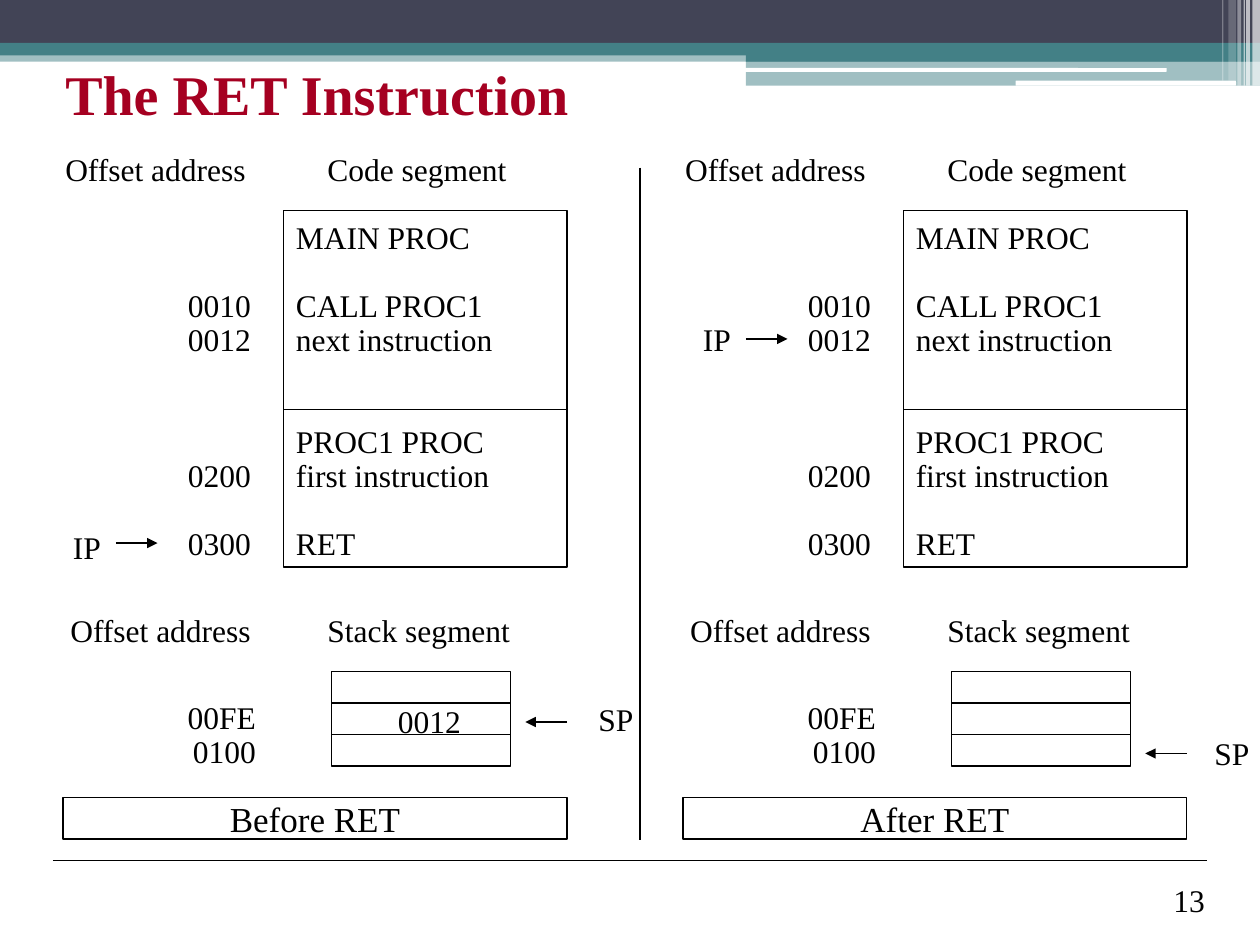
"""Build the RET instruction slide: code and stack segments before and after the return."""
from dataclasses import dataclass

from pptx import Presentation
from pptx.dml.color import RGBColor
from pptx.enum.shapes import MSO_CONNECTOR, MSO_SHAPE
from pptx.enum.text import MSO_ANCHOR, PP_ALIGN
from pptx.oxml.ns import qn
from pptx.oxml.xmlchemy import OxmlElement
from pptx.util import Inches, Pt

BLACK = RGBColor(0x00, 0x00, 0x00)
WHITE = RGBColor(0xFF, 0xFF, 0xFF)
CRIMSON = RGBColor(0xA5, 0x00, 0x21)
SLATE = RGBColor(0x42, 0x44, 0x56)
TEAL = RGBColor(0x43, 0x80, 0x86)
FONT = "Times New Roman"
LINE_WIDTH = Pt(0.75)
ROW_POINTS = 19.44
PANEL_STEP = 4.92


@dataclass
class Band:
    left: float
    top: float
    width: float
    height: float
    color: RGBColor = WHITE
    opacity: int = 100
    kind: MSO_SHAPE = MSO_SHAPE.RECTANGLE


@dataclass
class Row:
    text: str
    gap: float = 0
    right: bool = False
    indent: float = 0


@dataclass
class Panel:
    left: float
    caption: str
    ip_arrow: tuple[float, float]
    ip_label: tuple[float, float]
    sp_height: float
    sp_label: tuple[float, float]


BANDS = [
    Band(0, 0.4, 10, 0.09, TEAL, 50),
    Band(0, 0, 10, 0.34, SLATE),
    Band(0, 0.34, 10, 0.1, TEAL),
    Band(5.92, 0.39, 4.08, 0.1, TEAL),
    Band(5.92, 0.48, 4.08, 0.2, TEAL, 50),
    Band(5.91, 0.54, 3.35, 0.03, kind=MSO_SHAPE.ROUNDED_RECTANGLE),
    Band(8.06, 0.64, 1.75, 0.04, kind=MSO_SHAPE.ROUNDED_RECTANGLE),
    Band(9.94, 0, 0.06, 0.68, opacity=65),
    Band(9.89, 0, 0.03, 0.68, opacity=65),
    Band(9.87, 0, 0.01, 0.68, opacity=60),
    Band(9.82, 0, 0.03, 0.68, opacity=40),
    Band(9.75, 0, 0.06, 0.64, opacity=20),
    Band(9.7, 0, 0.01, 0.64, opacity=30),
]
CODE_ADDRESSES = [
    Row("Offset address"),
    Row("0010", 3 * ROW_POINTS, True),
    Row("0012", 0, True),
    Row("0200", 3 * ROW_POINTS, True),
    Row("0300", ROW_POINTS, True),
]
CODE_LINES = [
    Row("Code segment", indent=0.25),
    Row("MAIN PROC", ROW_POINTS),
    Row("CALL PROC1", ROW_POINTS),
    Row("next instruction"),
    Row("PROC1 PROC", 2 * ROW_POINTS),
    Row("first instruction"),
    Row("RET", ROW_POINTS),
]
STACK_ADDRESSES = [
    Row("Offset address"),
    Row("00FE", 30.24, True),
    Row("0100", 0, True),
]
PANELS = [
    Panel(0.42, "Before RET", (0.92, 4.31), (0.48, 4.17), 5.73, (4.65, 5.54)),
    Panel(0.42 + PANEL_STEP, "After RET", (5.92, 2.69), (5.48, 2.52), 5.98, (9.54, 5.81)),
]

presentation = Presentation()
presentation.slide_width = Inches(10)
presentation.slide_height = Inches(7.5)
slide = presentation.slides.add_slide(presentation.slide_layouts[6])


def apply(target: object, values: dict) -> None:
    for name, value in values.items():
        setattr(target, name, value)


def add_band(band: Band):
    shape = slide.shapes.add_shape(
        band.kind, Inches(band.left), Inches(band.top), Inches(band.width), Inches(band.height)
    )
    shape.shadow.inherit = False
    shape.fill.solid()
    shape.fill.fore_color.rgb = band.color
    shape.line.fill.background()
    if band.opacity < 100:
        alpha = OxmlElement("a:alpha")
        alpha.set("val", str(band.opacity * 1000))
        shape.fill._xPr.find(qn("a:solidFill"))[0].append(alpha)
    return shape


def add_box(left: float, top: float, width: float, height: float):
    shape = add_band(Band(left, top, width, height))
    shape.line.color.rgb = BLACK
    shape.line.width = LINE_WIDTH
    return shape


def add_line(x1: float, y1: float, x2: float, y2: float, arrow: bool = False) -> None:
    connector = slide.shapes.add_connector(
        MSO_CONNECTOR.STRAIGHT, Inches(x1), Inches(y1), Inches(x2), Inches(y2)
    )
    connector.line.color.rgb = BLACK
    connector.line.width = LINE_WIDTH
    if arrow:
        tail = OxmlElement("a:tailEnd")
        tail.set("type", "triangle")
        connector.line._get_or_add_ln().append(tail)
    connector._element.spPr.append(OxmlElement("a:effectLst"))


def write(paragraph, text: str, size: float = 18, color: RGBColor = BLACK, bold: bool = False,
          **layout) -> None:
    run = paragraph.add_run()
    run.text = text
    apply(run.font, {"name": FONT, "size": Pt(size), "bold": bold})
    run.font.color.rgb = color
    apply(paragraph, layout)


def add_frame(left: float, top: float, width: float, height: float, wrap: bool = True):
    frame = slide.shapes.add_textbox(
        Inches(left), Inches(top), Inches(width), Inches(height)
    ).text_frame
    frame.word_wrap = wrap
    return frame


def add_rows(left: float, top: float, width: float, height: float, rows: list[Row],
             wrap: bool = True) -> None:
    frame = add_frame(left, top, width, height, wrap)
    for index, row in enumerate(rows):
        paragraph = frame.add_paragraph() if index else frame.paragraphs[0]
        write(paragraph, row.text, line_spacing=Pt(ROW_POINTS), space_before=Pt(row.gap),
              alignment=PP_ALIGN.RIGHT if row.right else PP_ALIGN.LEFT)
        if row.indent:
            paragraph._p.get_or_add_pPr().set("marL", str(Inches(row.indent)))


def add_panel(panel: Panel) -> None:
    left = panel.left
    code_left, stack_left = left + 1.83, left + 2.21
    code_right, stack_right = code_left + 2.25, stack_left + 1.42
    add_box(code_left, 1.67, 2.25, 2.83)
    add_rows(left, 1.17, 1.67, 3.89, CODE_ADDRESSES)
    add_rows(code_left, 1.17, 2.5, 3.34, CODE_LINES)
    add_line(code_left, 3.25, code_right, 3.25)
    add_rows(left + 0.04, 4.83, 1.67, 1.33, STACK_ADDRESSES)
    add_rows(code_left, 4.83, 2.5, 0.64, [Row("Stack segment", indent=0.25)])
    add_box(stack_left, 5.33, 1.42, 0.75)
    for divider in (5.58, 5.83):
        add_line(stack_left, divider, stack_right, divider)
    arrow_left, arrow_top = panel.ip_arrow
    add_line(arrow_left, arrow_top, arrow_left + 0.33, arrow_top, True)
    add_rows(*panel.ip_label, 0.42, 0.37, [Row("IP")], False)
    add_line(code_right, panel.sp_height, code_right - 0.33, panel.sp_height, True)
    add_rows(*panel.sp_label, 0.48, 0.37, [Row("SP")], False)
    frame = add_box(left + 0.08, 6.33, 4, 0.33).text_frame
    apply(frame, {"word_wrap": False, "vertical_anchor": MSO_ANCHOR.MIDDLE})
    write(frame.paragraphs[0], panel.caption, 20, alignment=PP_ALIGN.CENTER)


for header_band in BANDS:
    add_band(header_band)
add_line(0.42, 6.83, 9.58, 6.83)
write(add_frame(9.08, 6.94, 0.58, 0.4).paragraphs[0], "13", alignment=PP_ALIGN.RIGHT)
write(add_frame(0.42, 0.42, 8, 0.64).paragraphs[0], "The RET Instruction", 32, CRIMSON, True)
add_line(5.08, 1.33, 5.08, 6.67)
for segment_panel in PANELS:
    add_panel(segment_panel)
write(add_frame(3.06, 5.52, 0.7, 0.4, False).paragraphs[0], "0012")

presentation.save("out.pptx")
